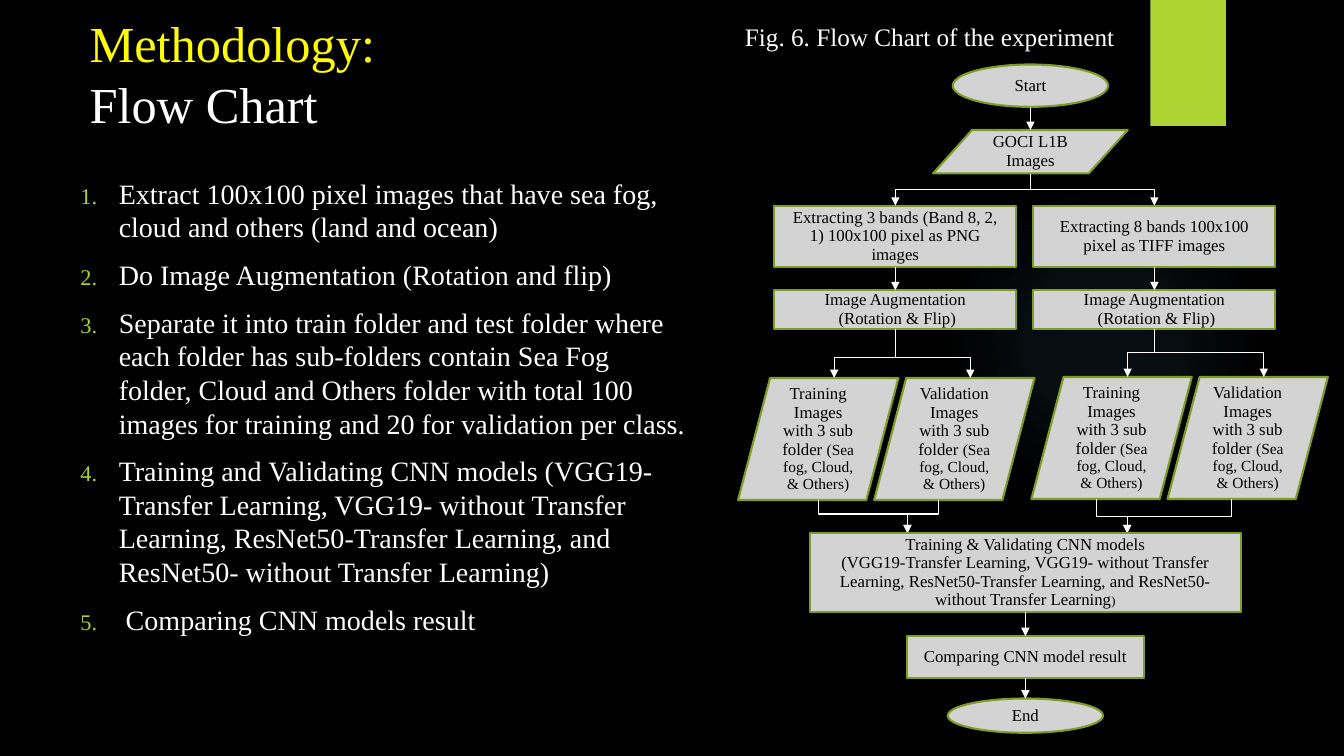
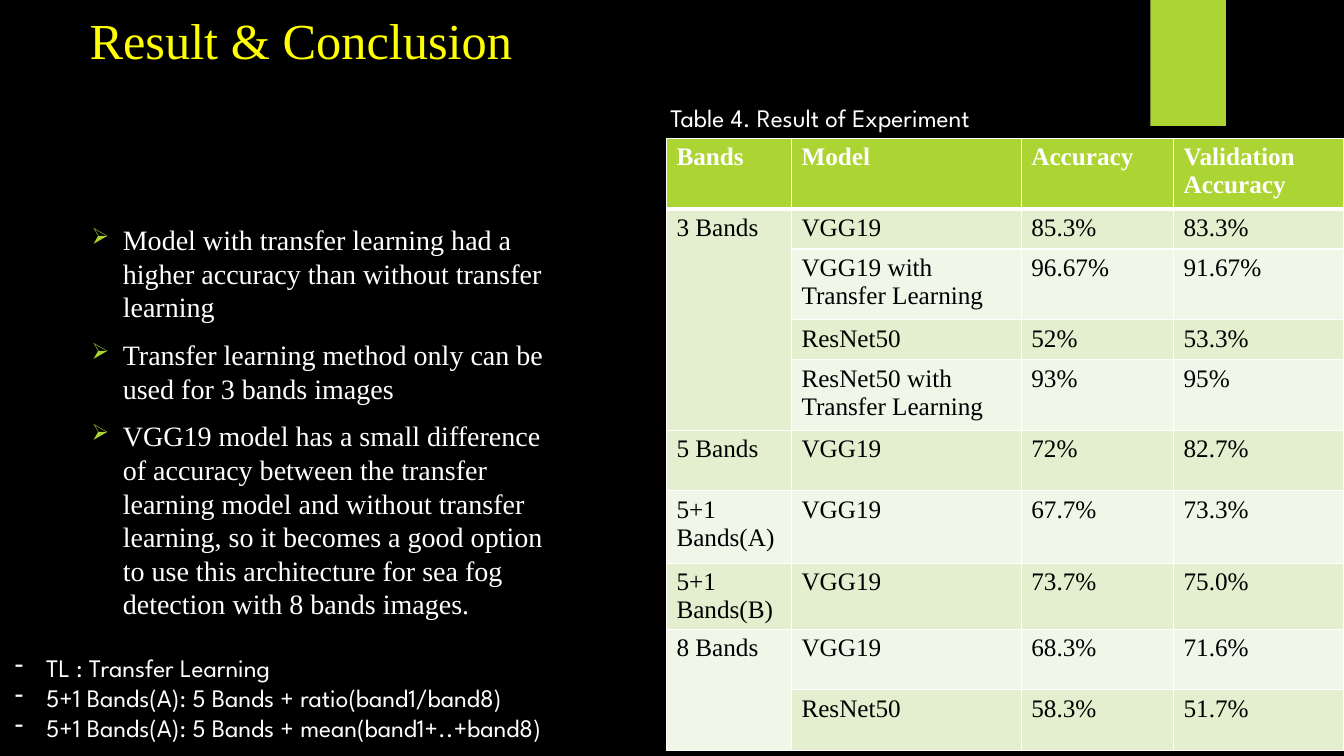
import dataclasses

import lxml.etree
import pptx
import pptx.dml.color
import pptx.enum.shapes
import pptx.enum.text
import pptx.oxml
import pptx.oxml.ns
import pptx.util

Inches = pptx.util.Inches
Pt = pptx.util.Pt
qn = pptx.oxml.ns.qn
SHAPE = pptx.enum.shapes.MSO_SHAPE
CONNECTOR = pptx.enum.shapes.MSO_CONNECTOR
ANCHOR = pptx.enum.text.MSO_ANCHOR
ALIGN = pptx.enum.text.PP_ALIGN


@dataclasses.dataclass(frozen=True)
class Theme:
    background: str = "000000"
    text: str = "FFFFFF"
    title: str = "FFFF00"
    accent: str = "ACD433"
    glow: str = "7AC4F0"
    node: str = "D3D3D3"
    node_line: str = "7F9D26"
    node_text: str = "000000"
    odd_row: str = "E3EFCE"
    even_row: str = "F1F7E8"
    serif: str = "Times New Roman"
    sans: str = "League Spartan"
    title_size: int = 36
    body_size: int = 20
    caption_size: int = 18
    node_size: int = 12
    detail_size: int = 11
    small_size: int = 9
    node_leading: float = 0.92


THEME = Theme()

STEPS = [
    "Extract 100x100 pixel images that have sea fog, cloud and others (land and ocean)",
    "Do Image Augmentation (Rotation and flip)",
    "Separate it into train folder and test folder where each folder has sub-folders contain "
    "Sea Fog folder, Cloud and Others folder with total 100 images for training and 20 for "
    "validation per class.",
    "Training and Validating CNN models (VGG19-Transfer Learning, VGG19- without Transfer "
    "Learning, ResNet50-Transfer Learning, and ResNet50- without Transfer Learning)",
    " Comparing CNN models result",
]
FINDINGS = [
    "Model with transfer learning had a higher accuracy than without transfer learning",
    "Transfer learning method only can be used for 3 bands images",
    "VGG19 model has a small difference of accuracy between the transfer learning model and "
    "without transfer learning, so it becomes a good option to use this architecture for sea "
    "fog detection with 8 bands images.",
]
LEGEND = [
    "TL : Transfer Learning",
    "5+1 Bands(A): 5 Bands + ratio(band1/band8)",
    "5+1 Bands(A): 5 Bands + mean(band1+..+band8)",
]
RESULTS = [
    ("Bands", "Model", "Accuracy", "Validation Accuracy"),
    ("3 Bands", "VGG19", "85.3%", "83.3%"),
    (None, "VGG19 with Transfer Learning", "96.67%", "91.67%"),
    (None, "ResNet50", "52%", "53.3%"),
    (None, "ResNet50 with Transfer Learning", "93%", "95%"),
    ("5 Bands", "VGG19", "72%", "82.7%"),
    ("5+1 Bands(A)", "VGG19", "67.7%", "73.3%"),
    ("5+1 Bands(B)", "VGG19", "73.7%", "75.0%"),
    ("8 Bands", "VGG19", "68.3%", "71.6%"),
    (None, "ResNet50", "58.3%", "51.7%"),
]
COLUMN_WIDTHS = [1.24, 2.28, 1.51, 1.69]
ROW_HEIGHTS = [0.7, 0.4, 0.7, 0.4, 0.7, 0.6, 0.72, 0.6, 0.6, 0.6]


def rgb(color):
    return pptx.dml.color.RGBColor.from_string(color)


def sub(parent, tag, **attributes):
    return lxml.etree.SubElement(parent, qn(tag), attributes)


def add_bullet(paragraph, bullet, indent, color, percent):
    properties = paragraph._p.get_or_add_pPr()
    properties.set("marL", str(Inches(indent)))
    properties.set("indent", str(-Inches(indent)))
    sub(sub(properties, "a:buClr"), "a:srgbClr", val=color)
    sub(properties, "a:buSzPct", val=str(percent * 1000))
    if bullet == "1.":
        sub(properties, "a:buAutoNum", type="arabicPeriod")
    else:
        sub(properties, "a:buChar", char=bullet)


def write(frame, paragraphs, size, color=THEME.text, font=THEME.serif, bold=False,
          align=ALIGN.LEFT, anchor=ANCHOR.TOP, leading=None, space_before=0,
          bullet=None, indent=0, bullet_color=THEME.accent, bullet_percent=80):
    frame.word_wrap = True
    frame.vertical_anchor = anchor
    for index, content in enumerate(paragraphs):
        paragraph = frame.add_paragraph() if index else frame.paragraphs[0]
        if bullet:
            add_bullet(paragraph, bullet, indent, bullet_color, bullet_percent)
        paragraph.alignment = align
        if leading:
            paragraph.line_spacing = leading
        if index and space_before:
            paragraph.space_before = Pt(space_before)
        runs = [(content, size)] if isinstance(content, str) else content
        for words, run_size in runs:
            run = paragraph.add_run()
            run.text = words
            run.font.size = Pt(run_size)
            run.font.name = font
            run.font.bold = bold
            run.font.color.rgb = rgb(color)


def add_text(slide, left, top, width, height, paragraphs, size, **style):
    box = slide.shapes.add_textbox(Inches(left), Inches(top), Inches(width), Inches(height))
    write(box.text_frame, paragraphs, size, **style)


def add_title(slide, top, words, color):
    add_text(slide, 0.79, top, 10, 0.74, [words], THEME.title_size, color=color,
             anchor=ANCHOR.BOTTOM)


def add_plain_shape(slide, kind, left, top, width, height, fill):
    shape = slide.shapes.add_shape(kind, Inches(left), Inches(top), Inches(width), Inches(height))
    shape.shadow.inherit = False
    shape.fill.solid()
    shape.fill.fore_color.rgb = rgb(fill)
    shape.line.fill.background()
    return shape


def add_glow(slide):
    glow = add_plain_shape(slide, SHAPE.OVAL, 9.41, 1.83, 3.08, 3.08, THEME.glow)
    properties = glow._element.spPr
    solid = properties.find(qn("a:solidFill"))
    gradient = lxml.etree.Element(qn("a:gradFill"))
    stops = sub(gradient, "a:gsLst")
    for position, alpha in ((0, 7), (36, 6), (69, 0)):
        stop = sub(stops, "a:gs", pos=str(position * 1000))
        sub(sub(stop, "a:srgbClr", val=THEME.glow), "a:alpha", val=str(alpha * 1000))
    circle = sub(gradient, "a:path", path="circle")
    sub(circle, "a:fillToRect", l="50000", t="50000", r="50000", b="50000")
    properties.replace(solid, gradient)


def new_slide(deck):
    slide = deck.slides.add_slide(deck.slide_layouts[6])
    slide.background.fill.solid()
    slide.background.fill.fore_color.rgb = rgb(THEME.background)
    add_glow(slide)
    add_plain_shape(slide, SHAPE.RECTANGLE, 11.41, 0, 0.75, 1.25, THEME.accent)
    return slide


def add_node(slide, kind, center, top, width, height, paragraphs):
    node = add_plain_shape(slide, kind, center - width / 2, top, width, height, THEME.node)
    node.line.color.rgb = rgb(THEME.node_line)
    node.line.width = Pt(1.5)
    node.text_frame.margin_top = node.text_frame.margin_bottom = 0
    write(node.text_frame, paragraphs, THEME.node_size, color=THEME.node_text,
          align=ALIGN.CENTER, anchor=ANCHOR.MIDDLE, leading=THEME.node_leading)
    return node


def add_arrow(slide, kind, left, top, right, bottom):
    arrow = slide.shapes.add_connector(kind, Inches(left), Inches(top), Inches(right),
                                       Inches(bottom))
    arrow.line.color.rgb = rgb(THEME.text)
    arrow.line.width = Pt(0.75)
    sub(arrow.line._get_or_add_ln(), "a:tailEnd", type="triangle")
    sub(arrow._element.spPr, "a:effectLst")
    return arrow


def join_nodes(slide, upper, lower):
    arrow = add_arrow(slide, CONNECTOR.STRAIGHT, 0, 0, 0, 0)
    arrow.begin_connect(upper, 2)
    arrow.end_connect(lower, 0)


def add_elbow(slide, start, bend, end):
    (start_x, start_y), (end_x, end_y) = start, end
    drop, shift = end_y - start_y, abs(end_x - start_x)
    left = (start_x + end_x - drop) / 2
    top = (start_y + end_y - shift) / 2
    elbow = add_arrow(slide, CONNECTOR.ELBOW, left, top, left + drop, top + shift)
    properties = elbow._element.spPr
    frame = properties.find(qn("a:xfrm"))
    if end_x > start_x:
        frame.set("rot", "16200000")
        frame.set("flipH", "1")
    else:
        frame.set("rot", "5400000")
    geometry = properties.find(qn("a:prstGeom"))
    guides = geometry.find(qn("a:avLst"))
    if guides is None:
        guides = sub(geometry, "a:avLst")
    share = round((bend - start_y) / drop * 100000)
    sub(guides, "a:gd", name="adj1", fmla=f"val {share}")


def add_branch(slide, center, extraction, data_left, data_top, fork, exits, meeting, merge):
    extract = add_node(slide, SHAPE.FLOWCHART_PROCESS, center, 2.04, 2.4, 0.61, [extraction])
    augment = add_node(slide, SHAPE.FLOWCHART_PROCESS, center, 2.88, 2.4, 0.38,
                       ["Image Augmentation", " (Rotation & Flip)"])
    add_elbow(slide, (10.22, 1.73), 1.88, (center, 2.04))
    join_nodes(slide, extract, augment)
    width, height, step = 1.59, 1.21, 1.35
    for index, purpose in enumerate(("Training", "Validation")):
        left = data_left + index * step
        folders = [(f"{purpose} Images with 3 sub folder ", THEME.node_size),
                   ("(Sea fog, Cloud, & Others)", THEME.detail_size)]
        add_node(slide, SHAPE.FLOWCHART_DATA, left + width / 2, data_top, width, height, [folders])
        add_elbow(slide, (center, 3.26), fork, (left + 0.6 * width, data_top))
        add_elbow(slide, (exits[index], data_top + height), meeting, (merge, 5.29))


def add_flow_chart(slide):
    add_node(slide, SHAPE.OVAL, 10.22, 0.64, 1.54, 0.42, ["Start"])
    add_node(slide, SHAPE.FLOWCHART_DATA, 10.22, 1.29, 1.93, 0.43, ["GOCI L1B Images"])
    add_arrow(slide, CONNECTOR.STRAIGHT, 10.22, 1.06, 10.22, 1.29)
    add_branch(slide, 8.88, "Extracting 3 bands (Band 8, 2, 1) 100x100 pixel as PNG images",
               7.32, 3.75, 3.55, (8.12, 9.31), 5.1, 9)
    add_branch(slide, 11.45, "Extracting 8 bands 100x100 pixel as TIFF images",
               10.23, 3.74, 3.5, (10.87, 12.21), 5.12, 11.18)
    models = [("(VGG19-Transfer Learning, VGG19- without Transfer Learning, ResNet50-Transfer "
               "Learning, and ResNet50- without Transfer Learning", THEME.node_size),
              (")", THEME.small_size)]
    training = add_node(slide, SHAPE.FLOWCHART_PROCESS, 10.17, 5.29, 4.27, 0.78,
                        ["Training & Validating CNN models", models])
    comparison = add_node(slide, SHAPE.FLOWCHART_PROCESS, 10.17, 6.31, 2.35, 0.42,
                          ["Comparing CNN model result"])
    end = add_node(slide, SHAPE.OVAL, 10.17, 6.93, 1.54, 0.34, ["End"])
    join_nodes(slide, training, comparison)
    join_nodes(slide, comparison, end)


def add_borders(cell, bottom_width):
    properties = cell._tc.get_or_add_tcPr()
    sides = (("a:lnL", 1), ("a:lnR", 1), ("a:lnT", 1), ("a:lnB", bottom_width))
    for index, (side, width) in enumerate(sides):
        border = lxml.etree.Element(qn(side), w=str(Pt(width)))
        sub(sub(border, "a:solidFill"), "a:srgbClr", val=THEME.text)
        properties.insert(index, border)


def add_results(slide):
    table = slide.shapes.add_table(len(RESULTS), len(COLUMN_WIDTHS), Inches(6.61), Inches(1.37),
                                   Inches(sum(COLUMN_WIDTHS)), Inches(sum(ROW_HEIGHTS))).table
    for column, width in zip(table.columns, COLUMN_WIDTHS):
        column.width = Inches(width)
    for row, (values, height) in enumerate(zip(RESULTS, ROW_HEIGHTS)):
        table.rows[row].height = Inches(height)
        header = row == 0
        fill = THEME.accent if header else (THEME.even_row, THEME.odd_row)[row % 2]
        for column, value in enumerate(values):
            cell = table.cell(row, column)
            cell.fill.solid()
            cell.fill.fore_color.rgb = rgb(fill)
            add_borders(cell, 3 if header else 1)
            if value:
                write(cell.text_frame, [value], THEME.caption_size, bold=header,
                      color=THEME.text if header else THEME.node_text)
    for first, last in ((1, 4), (8, 9)):
        table.cell(first, 0).merge(table.cell(last, 0))


def build_methodology(deck):
    slide = new_slide(deck)
    add_text(slide, 0.7, 1.7, 6.2, 5.12, STEPS, THEME.body_size, bullet="1.", indent=0.38,
             space_before=10)
    add_flow_chart(slide)
    add_title(slide, 0.03, "Methodology:", THEME.title)
    add_title(slide, 0.63, "Flow Chart", THEME.text)
    add_text(slide, 7.29, 0.16, 4.1, 0.4, ["Fig. 6. Flow Chart of the experiment"],
             THEME.caption_size)


def build_conclusion(deck):
    slide = new_slide(deck)
    add_results(slide)
    add_title(slide, 0, "Result & Conclusion", THEME.title)
    add_text(slide, 0.81, 2.16, 4.88, 3.95, FINDINGS, THEME.body_size, bullet="➢", indent=0.31,
             space_before=10)
    add_text(slide, 6.55, 0.97, 3.67, 0.4, ["Table 4. Result of Experiment"],
             THEME.caption_size, font=THEME.sans)
    add_text(slide, 0.05, 6.42, 6.5, 1.0, LEGEND, THEME.caption_size, font=THEME.sans,
             bullet="-", indent=0.31, bullet_color=THEME.text, bullet_percent=100)


def main():
    deck = pptx.Presentation()
    deck.slide_width = Inches(13.33)
    deck.slide_height = Inches(7.5)
    build_methodology(deck)
    build_conclusion(deck)
    deck.save("out.pptx")


if __name__ == "__main__":
    main()
